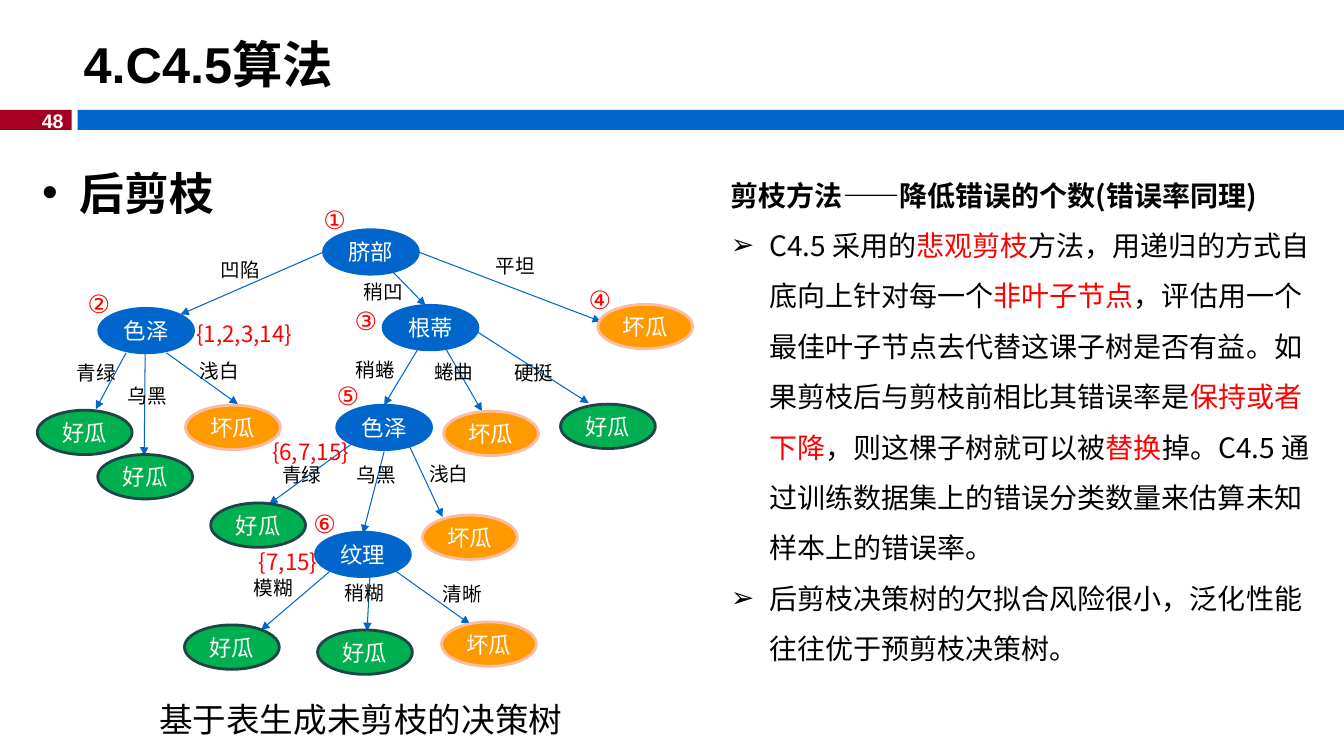
from lxml import etree
from pptx import Presentation
from pptx.dml.color import RGBColor
from pptx.enum.shapes import MSO_CONNECTOR as Connector, MSO_SHAPE as Preset
from pptx.enum.text import MSO_ANCHOR as Anchor, PP_ALIGN as Align
from pptx.oxml.ns import qn
from pptx.util import Inches, Pt

BLUE, CRIMSON, RED = "0066CC", "A50021", "FF0000"
BLACK, WHITE = "000000", "FFFFFF"
CJK = "Noto Sans CJK SC"

# Node kind: (fill, outline)
NODE_STYLES = {
    "test": (BLUE, BLUE),
    "好瓜": ("00B050", "1E4649"),
    "坏瓜": ("FF9900", "FBBCA3"),
}
TESTS = [("脐部", 3.21, 2.28), ("色泽", 0.98, 3.06), ("根蒂", 3.8, 3.03),
         ("色泽", 3.34, 4.02), ("纹理", 3.13, 5.28)]
LEAVES = {
    "好瓜": [(0.37, 4.07), (0.97, 4.51), (5.56, 4.01), (2.09, 4.99),
           (1.83, 6.2), (3.15, 6.25)],
    "坏瓜": [(1.84, 4.02), (5.93, 3.02), (4.4, 4.08), (4.19, 5.11), (4.38, 6.17)],
}
# Branch: value, label left and top, arrow start, arrow end
BRANCHES = [
    ("凹陷", 2.09, 2.51, (3.21, 2.5), (1.79, 3.12)),
    ("稍凹", 3.51, 2.73, (3.52, 2.31), (4.22, 3.03)),
    ("平坦", 4.82, 2.47, (4.15, 2.5), (5.96, 3.19)),
    ("青绿", 0.66, 3.53, (1.25, 3.5), (0.95, 4.06)),
    ("乌黑", 1.17, 3.76, (1.44, 3.51), (1.43, 4.52)),
    ("浅白", 1.88, 3.51, (1.65, 3.5), (2.36, 4.01)),
    ("稍蜷", 3.43, 3.5, (4.37, 3.09), (3.81, 4.02)),
    ("蜷曲", 4.21, 3.52, (4.41, 3.44), (4.78, 4.08)),
    ("硬挺", 5, 3.53, (4.73, 3.29), (5.84, 4)),
    ("青绿", 2.7, 4.54, (3.48, 4.41), (2.67, 5)),
    ("乌黑", 3.44, 4.54, (3.81, 4.48), (3.6, 5.29)),
    ("浅白", 4.16, 4.53, (4.03, 4.36), (4.39, 5.13)),
    ("模糊", 2.42, 5.66, (3.27, 5.67), (2.59, 6.25)),
    ("稍糊", 3.32, 5.71, (3.67, 5.71), (3.64, 6.26)),
    ("清晰", 4.29, 5.72, (3.93, 5.67), (4.66, 6.19)),
]
NODE_NUMBERS = [("①", 3.11, 1.98), ("②", 0.77, 2.81), ("③", 3.42, 2.98),
                ("④", 5.74, 2.77), ("⑤", 3.24, 3.72), ("⑥", 3.01, 4.99)]
SAMPLE_SETS = [("{1,2,3,14}", 1.85, 3.13), ("{6,7,15}", 2.6, 4.3),
               ("{7,15}", 2.47, 5.39)]
METHOD_HEADING = "剪枝方法——降低错误的个数(错误率同理)"
# Each point is a list of (text, colour)
METHOD_POINTS = [
    [("C4.5 采用的", BLACK), ("悲观剪枝", RED),
     ("方法，用递归的方式自底向上针对每一个", BLACK), ("非叶子节点", RED),
     ("，评估用一个最佳叶子节点去代替这课子树是否有益。"
      "如果剪枝后与剪枝前相比其错误率是", BLACK),
     ("保持或者下降", RED), ("，则这棵子树就可以被", BLACK), ("替换", RED),
     ("掉。C4.5 通过训练数据集上的错误分类数量来估算未知样本上的错误率。", BLACK)],
    [("后剪枝决策树的欠拟合风险很小，泛化性能往往优于预剪枝决策树。", BLACK)],
]


def rgb(hex_color):
    return RGBColor.from_string(hex_color)


def write(paragraph, text, size=14, color=BLACK, bold=False, font="Arial",
          align=Align.LEFT):
    """Append one formatted run to the paragraph."""
    paragraph.alignment = align
    run = paragraph.add_run()
    run.text = text
    run.font.size = Pt(size)
    run.font.bold = bold
    run.font.name = font
    run.font.color.rgb = rgb(color)
    etree.SubElement(run.font._element, qn("a:ea"), typeface=CJK)


def add_bullet(paragraph, mark, indent):
    """Give the paragraph a bullet with a hanging indent."""
    properties = paragraph._p.get_or_add_pPr()
    properties.set("marL", str(Inches(indent)))
    properties.set("indent", str(-Inches(indent)))
    etree.SubElement(properties, qn("a:buFont"), typeface="Arial")
    etree.SubElement(properties, qn("a:buChar"), char=mark)


class TreeSlide:
    def __init__(self, deck):
        self.slide = deck.slides.add_slide(deck.slide_layouts[5])
        self.shapes = self.slide.shapes

    def title(self, text, left, top, width, height):
        heading = self.shapes.title
        heading.left, heading.top = Inches(left), Inches(top)
        heading.width, heading.height = Inches(width), Inches(height)
        heading.text_frame.vertical_anchor = Anchor.MIDDLE
        write(heading.text_frame.paragraphs[0], text, size=36, bold=True)

    def solid(self, preset, left, top, width, height, fill, outline=None):
        shape = self.shapes.add_shape(
            preset, Inches(left), Inches(top), Inches(width), Inches(height))
        shape.shadow.inherit = False
        shape.fill.solid()
        shape.fill.fore_color.rgb = rgb(fill)
        if outline:
            shape.line.color.rgb = rgb(outline)
            shape.line.width = Pt(2)
        else:
            shape.line.fill.background()
        return shape

    def node(self, text, left, top, kind):
        oval = self.solid(Preset.OVAL, left, top, 0.94, 0.44, *NODE_STYLES[kind])
        frame = oval.text_frame
        frame.margin_left = frame.margin_right = 0
        frame.margin_top = frame.margin_bottom = 0
        frame.vertical_anchor = Anchor.MIDDLE
        write(frame.paragraphs[0], text, size=16, color=WHITE, align=Align.CENTER)

    def arrow(self, start, end):
        line = self.shapes.add_connector(
            Connector.STRAIGHT, *(Inches(value) for value in start + end))
        line.line.color.rgb = rgb(BLUE)
        line.line.width = Pt(0.75)
        etree.SubElement(line.line._get_or_add_ln(), qn("a:tailEnd"), type="triangle")
        etree.SubElement(line._element.spPr, qn("a:effectLst"))

    def text_area(self, left, top, width, height):
        box = self.shapes.add_textbox(
            Inches(left), Inches(top), Inches(width), Inches(height))
        box.text_frame.word_wrap = True
        return box.text_frame

    def label(self, text, left, top, width=0.7, height=0.34, **style):
        frame = self.text_area(left, top, width, height)
        write(frame.paragraphs[0], text, **style)
        return frame.paragraphs[0]

    def method(self, left, top, width, height):
        frame = self.text_area(left, top, width, height)
        heading = frame.paragraphs[0]
        heading.line_spacing = 1.5
        write(heading, METHOD_HEADING, size=20, bold=True, font=CJK)
        for point in METHOD_POINTS:
            paragraph = frame.add_paragraph()
            paragraph.line_spacing = 1.5
            add_bullet(paragraph, "➢", 0.38)
            for text, color in point:
                write(paragraph, text, size=20, color=color, font=CJK)


def main():
    deck = Presentation()
    deck.slide_width, deck.slide_height = Inches(13.33), Inches(7.5)
    page = TreeSlide(deck)

    page.solid(Preset.RECTANGLE, 0, 1.09, 0.71, 0.2, CRIMSON)
    page.solid(Preset.RECTANGLE, 0.77, 1.09, 12.56, 0.2, BLUE)
    page.label("48", 0.29, 1.03, 0.44, color=WHITE, bold=True, align=Align.RIGHT)
    page.title("4.C4.5算法", 0.73, 0.26, 12.6, 0.74)

    topic = page.label("后剪枝", 0.32, 1.59, 6.55, 0.7, size=32, bold=True, font=CJK)
    topic.space_before = Pt(6.4)
    add_bullet(topic, "•", 0.37)

    for _, _, _, start, end in BRANCHES:
        page.arrow(start, end)
    for attribute, left, top in TESTS:
        page.node(attribute, left, top, "test")
    for verdict, places in LEAVES.items():
        for left, top in places:
            page.node(verdict, left, top, verdict)
    for value, left, top, _, _ in BRANCHES:
        page.label(value, left, top)
    for number, left, top in NODE_NUMBERS:
        page.label(number, left, top, height=0.4, size=18, color=RED)
    for samples, left, top in SAMPLE_SETS:
        page.label(samples, left, top, 1.92, 0.37, size=16, color=RED, font=CJK)

    page.label("基于表生成未剪枝的决策树", 1.48, 6.88, 6.67, 0.5, size=24)
    page.method(7.15, 1.55, 6.05, 5.09)
    deck.save("out.pptx")


if __name__ == "__main__":
    main()
